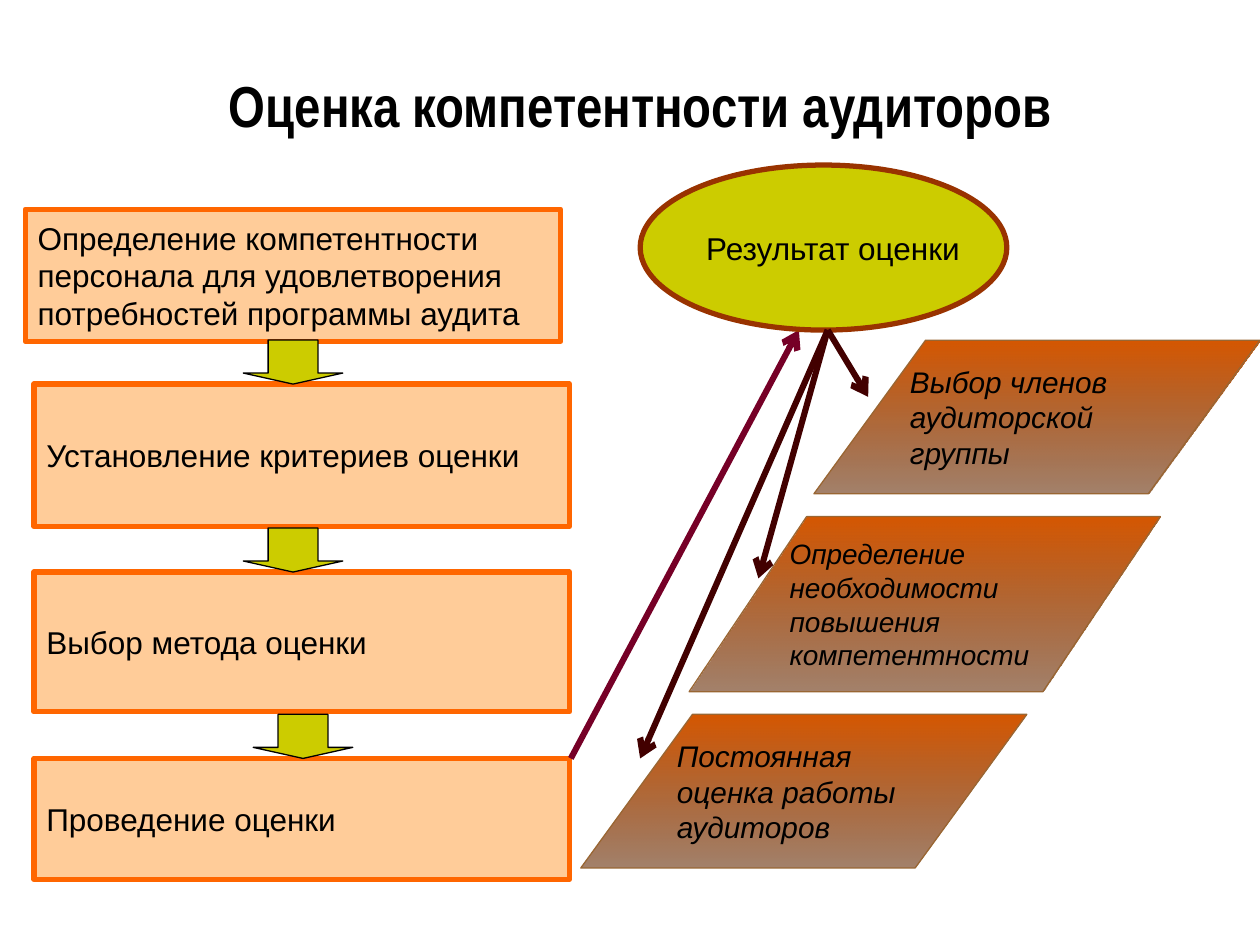
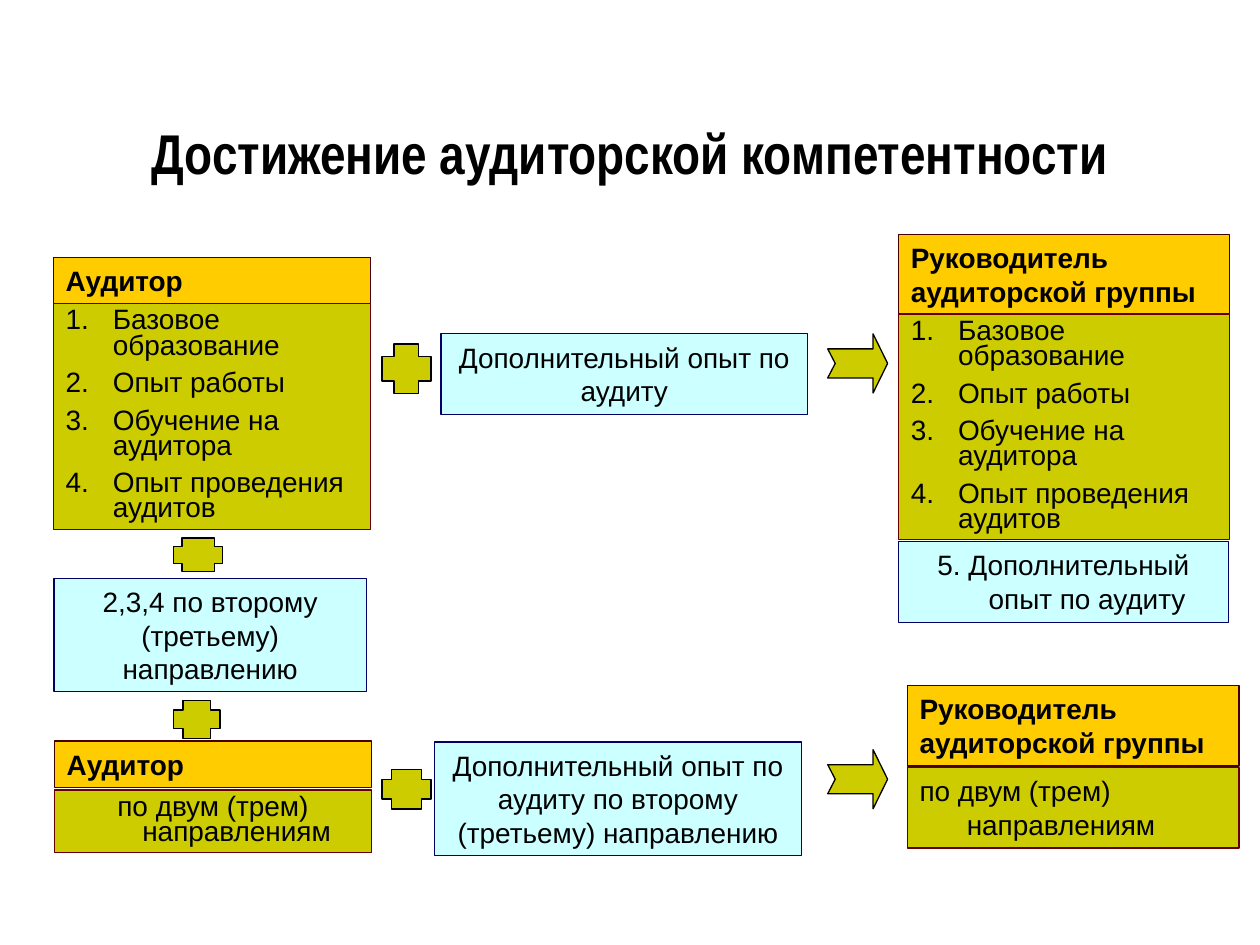
from lxml.etree import SubElement
from pptx import Presentation
from pptx.dml.color import RGBColor
from pptx.enum.shapes import MSO_CONNECTOR, MSO_SHAPE
from pptx.enum.text import MSO_ANCHOR, PP_ALIGN
from pptx.oxml.ns import qn
from pptx.util import Pt

BLACK = RGBColor(0x00, 0x00, 0x00)
PEACH = RGBColor(0xFF, 0xCC, 0x99)
ORANGE = RGBColor(0xFF, 0x66, 0x00)
OLIVE = RGBColor(0xCC, 0xCC, 0x00)
GOLD = RGBColor(0xFF, 0xCC, 0x00)
ICE = RGBColor(0xCC, 0xFF, 0xFF)
NAVY = RGBColor(0x00, 0x00, 0x66)
RUST = RGBColor(0x99, 0x33, 0x00)
TAN = RGBColor(0x99, 0x66, 0x33)
FLAME = RGBColor(0xD5, 0x57, 0x01)
UMBER = RGBColor(0x63, 0x28, 0x00)
MAROON = RGBColor(0x42, 0x00, 0x00)
DARK_RED = RGBColor(0x66, 0x00, 0x00)
PLUM = RGBColor(0x76, 0x00, 0x27)

QUALIFICATIONS = ["Базовое образование", "Опыт работы",
                  "Обучение на аудитора", "Опыт проведения аудитов"]
HANGING = Pt(27)


def write(frame, lines, size, font="Arial", bold=False, italic=False,
          align=PP_ALIGN.LEFT, anchor=MSO_ANCHOR.TOP):
    """Fill a text frame with one paragraph per line."""
    frame.word_wrap = True
    frame.vertical_anchor = anchor
    frame.text = "\n".join(lines)
    for paragraph in frame.paragraphs:
        paragraph.alignment = align
        for run in paragraph.runs:
            run.font.name = font
            run.font.size = Pt(size)
            run.font.bold = bold
            run.font.italic = italic
            run.font.color.rgb = BLACK


def hang(paragraph):
    """Give a paragraph a hanging indent."""
    properties = paragraph._p.get_or_add_pPr()
    properties.set("marL", str(HANGING))
    properties.set("indent", str(-HANGING))
    return properties


def number(paragraph):
    """Number a paragraph with black arabic figures."""
    properties = hang(paragraph)
    colour = SubElement(properties, qn("a:buClr"))
    SubElement(colour, qn("a:srgbClr"), val=str(BLACK))
    SubElement(properties, qn("a:buAutoNum"), type="arabicPeriod")


def paint(shape, fill, line, weight=0.75):
    """Set the fill and outline of a shape without a shadow."""
    shape.shadow.inherit = False
    shape.fill.solid()
    shape.fill.fore_color.rgb = fill
    shape.line.color.rgb = line
    shape.line.width = Pt(weight)
    return shape


def place(slide, kind, box, fill, line, weight=0.75):
    """Add a painted preset shape."""
    shape = slide.shapes.add_shape(kind, *map(Pt, box))
    return paint(shape, fill, line, weight)


def panel(slide, box, lines, fill, line, **style):
    """Add a thin-lined rectangle with text and return it."""
    rectangle = place(slide, MSO_SHAPE.RECTANGLE, box, fill, line)
    write(rectangle.text_frame, lines, 16, **style)
    return rectangle


def plus(slide, box):
    """Add a plus sign."""
    place(slide, MSO_SHAPE.CROSS, box, OLIVE, BLACK)


def arrow(slide, start, end, colour):
    """Draw a straight arrow."""
    link = slide.shapes.add_connector(
        MSO_CONNECTOR.STRAIGHT, *map(Pt, (*start, *end)))
    link.line.color.rgb = colour
    link.line.width = Pt(3.5)
    SubElement(link.line._get_or_add_ln(), qn("a:tailEnd"), type="arrow")
    SubElement(link._element.spPr, qn("a:effectLst"))


def title(slide, box, text, size):
    """Add the slide title."""
    heading = slide.shapes.add_textbox(*map(Pt, box))
    write(heading.text_frame, [text], size, "Arial Narrow", bold=True,
          align=PP_ALIGN.CENTER, anchor=MSO_ANCHOR.MIDDLE)


def step_chain(slide, left, top):
    """Place the four assessment steps joined by block arrows."""
    steps = [
        (0, 0, 75.6, "Определение компетентности персонала для "
                     "удовлетворения потребностей программы аудита"),
        (5, 100, 81.4, "Установление критериев оценки"),
        (5, 207.4, 79.9, "Выбор метода оценки"),
        (5, 313.9, 69.1, "Проведение оценки"),
    ]
    for dx, dy, height, text in steps:
        step = place(slide, MSO_SHAPE.RECTANGLE,
                     (left + dx, top + dy, 306, height), PEACH, ORANGE, 3)
        write(step.text_frame, [text], 18, anchor=MSO_ANCHOR.MIDDLE)
    for dx, (_, dy, _, _) in zip((124.6, 124.6, 130.3), steps[1:]):
        down = place(slide, MSO_SHAPE.DOWN_ARROW,
                     (left + dx, top + dy - 25.2, 56.9, 25.2), OLIVE, BLACK)
        down.adjustments[1] = 0.25


def outcome(slide, box, text, size, skew):
    """Add a slanted outcome with a fading fill."""
    slanted = place(slide, MSO_SHAPE.PARALLELOGRAM, box, FLAME, TAN)
    slanted.adjustments[0] = skew
    slanted.fill.gradient()
    slanted.fill.gradient_angle = 270
    for stop, colour in zip(slanted.fill.gradient_stops, (FLAME, UMBER)):
        stop.color.rgb = colour
    faded = slanted._element.spPr.xpath(".//a:gs[last()]/a:srgbClr")[0]
    SubElement(faded, qn("a:alpha"), val="58000")
    write(slanted.text_frame, [text], size, italic=True,
          anchor=MSO_ANCHOR.MIDDLE)


def result_fan(slide, left, top):
    """Place the assessment result and the outcomes it leads to."""
    arrow(slide, (left - 5.7, top + 339.1), (left + 124.6, top + 94.3), PLUM)
    result = place(slide, MSO_SHAPE.OVAL, (left + 33.9, top, 209.5, 94.3),
                   OLIVE, RUST, 3)
    write(result.text_frame, ["Результат оценки"], 18,
          anchor=MSO_ANCHOR.MIDDLE)
    result.text_frame.word_wrap = False
    outcomes = [
        (133.2, 100.1, 254.9, 87.8, "Выбор членов аудиторской группы",
         17, 0.727),
        (61.9, 200.9, 269.3, 100.1,
         "Определение необходимости повышения компетентности", 16, 0.671),
        (0, 313.9, 254.9, 87.8, "Постоянная оценка работы аудиторов",
         17, 0.727),
    ]
    for dx, dy, width, height, *content in outcomes:
        outcome(slide, (left + dx, top + dy, width, height), *content)
    for dx, dy in ((164.2, 132.5), (101.5, 236.2), (33.9, 339.1)):
        arrow(slide, (left + 141.1, top + 94.3), (left + dx, top + dy), MAROON)


def role_heading(slide, box, text):
    """Add the golden heading of a role."""
    panel(slide, box, [text], GOLD, MAROON, bold=True)


def qualified_role(slide, left, top, width, heading_height, text):
    """Place a role with its numbered qualifications."""
    role_heading(slide, (left, top, width, heading_height), text)
    listing = panel(slide, (left, top + heading_height, width, 128.9),
                    QUALIFICATIONS, OLIVE, DARK_RED)
    for index, paragraph in enumerate(listing.text_frame.paragraphs):
        number(paragraph)
        paragraph.line_spacing = 0.75
        if index:
            paragraph.space_before = Pt(7)


def multi_role(slide, left, top, width, heading_height, offset, height,
               text, align, spacing):
    """Place a role that covers two or three directions."""
    role_heading(slide, (left, top, width, heading_height), text)
    scope = panel(slide, (left, top + offset, width, height),
                  ["по двум (трем) направлениям"], OLIVE, DARK_RED,
                  align=align)
    paragraph = scope.text_frame.paragraphs[0]
    hang(paragraph)
    paragraph.line_spacing = spacing


def notched_arrow(slide, left, top):
    """Draw the notched arrow that points to the next role."""
    outline = [(0, 8.6), (25.9, 8.6), (25.9, 0), (34.2, 16.9),
               (25.9, 33.8), (25.9, 25.2), (0, 25.2), (4.3, 16.9)]
    points = [(Pt(left + x), Pt(top + y)) for x, y in outline]
    builder = slide.shapes.build_freeform(*points[0], scale=1.0)
    builder.add_line_segments(points[1:], close=True)
    paint(builder.convert_to_shape(), OLIVE, BLACK)


def experience_path(slide, left, top, text, indent, height,
                    plus_offset, plus_height, arrow_offset):
    """Place a plus sign, the added experience and an arrow in a row."""
    panel(slide, (left + indent, top, 209.5, height), [text], ICE, NAVY,
          align=PP_ALIGN.CENTER)
    plus(slide, (left, top + plus_offset, 28.1, plus_height))
    notched_arrow(slide, left + 254.8, top + arrow_offset)


def second_direction(slide, left, top):
    """Place the second direction between two plus signs."""
    panel(slide, (left, top, 178.6, 64.8),
          ["2,3,4 по второму (третьему) направлению"], ICE, NAVY,
          align=PP_ALIGN.CENTER)
    plus(slide, (left + 68.4, top - 23.1, 28.1, 19.4))
    plus(slide, (left + 68.4, top + 69.8, 26.6, 21.6))


def extra_experience(slide, left, top):
    """Place the fifth qualification of the group leader."""
    extra = panel(slide, (left, top, 188.6, 46.1),
                  ["5. Дополнительный опыт по аудиту"], ICE, NAVY,
                  align=PP_ALIGN.CENTER)
    extra.text_frame.margin_left = extra.text_frame.margin_right = Pt(4.3)
    hang(extra.text_frame.paragraphs[0])


def assessment_slide(slide):
    """Build the slide on assessing auditors."""
    title(slide, (42, 14.4, 648, 90), "Оценка компетентности аудиторов", 33)
    step_chain(slide, 14.4, 119.5)
    result_fan(slide, 331.9, 94.3)


def achievement_slide(slide):
    """Build the slide on reaching competence."""
    leader = "Руководитель аудиторской группы"
    title(slide, (36, 42, 648, 90),
          "Достижение аудиторской компетентности", 32)
    qualified_role(slide, 30.4, 147, 181.4, 26.5, "Аудитор")
    qualified_role(slide, 513.4, 133.9, 189, 45.6, leader)
    extra_experience(slide, 513.4, 309.6)
    experience_path(slide, 218.2, 190.8, "Дополнительный опыт по аудиту",
                    33.8, 46.1, 5.8, 28.1, 0)
    experience_path(
        slide, 218.2, 424.1,
        "Дополнительный опыт по аудиту по второму (третьему) направлению",
        30.2, 64.8, 15.8, 22.3, 4.3)
    second_direction(slide, 30.8, 330.5)
    multi_role(slide, 31, 423.4, 181.4, 26.6, 28, 36, "Аудитор",
               PP_ALIGN.CENTER, 0.75)
    multi_role(slide, 518.4, 391.7, 189.7, 46.1, 46.8, 46.1, leader,
               PP_ALIGN.LEFT, 1.0)


def main():
    """Build and save the presentation."""
    deck = Presentation()
    deck.slide_width, deck.slide_height = Pt(720), Pt(540)
    for build in (assessment_slide, achievement_slide):
        build(deck.slides.add_slide(deck.slide_layouts[6]))
    deck.save("out.pptx")


if __name__ == "__main__":
    main()
